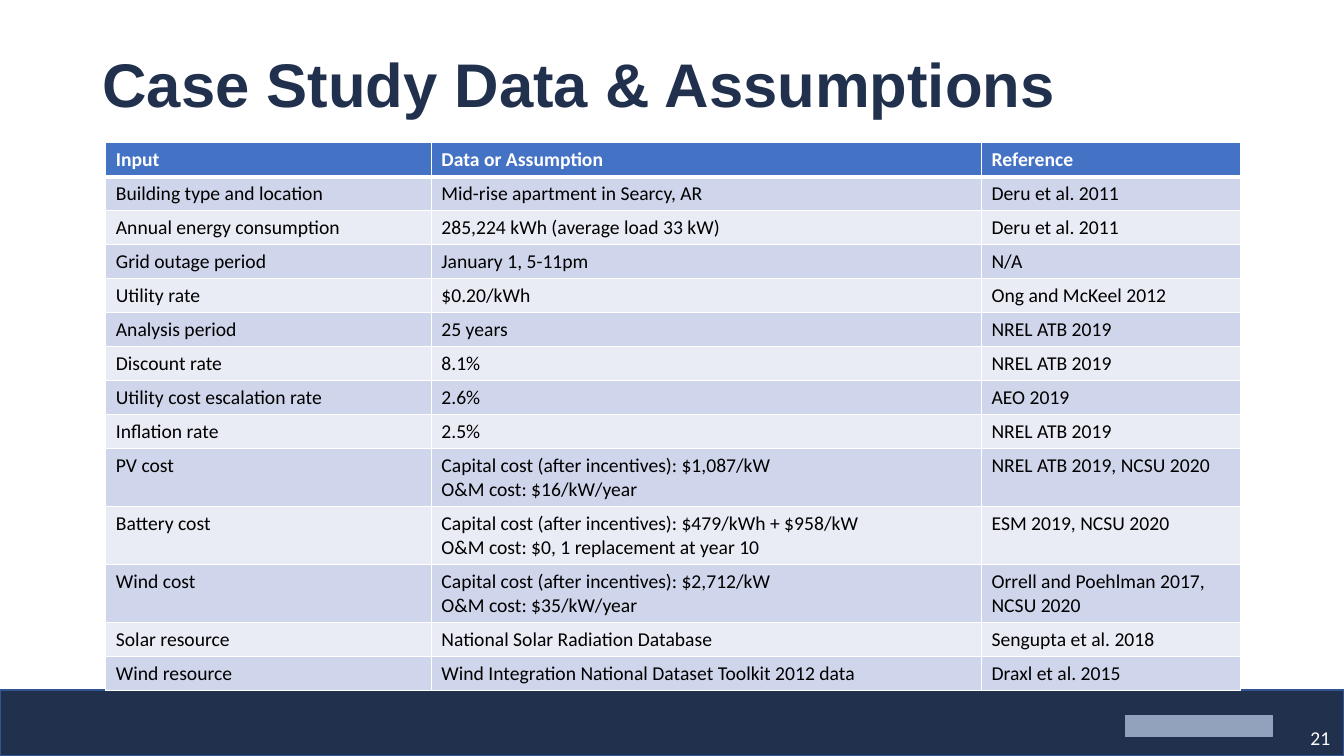
from dataclasses import dataclass

from lxml.etree import SubElement
from pptx import Presentation
from pptx.dml.color import RGBColor
from pptx.enum.shapes import MSO_SHAPE as SHAPE
from pptx.enum.text import MSO_ANCHOR as ANCHOR, MSO_AUTO_SIZE as AUTOSIZE, PP_ALIGN as ALIGN
from pptx.oxml.ns import qn
from pptx.util import Pt


@dataclass(frozen=True)
class Theme:
    navy: str = "21314D"
    band_line: str = "325491"
    header: str = "4472C4"
    row_dark: str = "CFD5EA"
    row_light: str = "E9EBF5"
    white: str = "FFFFFF"
    black: str = "000000"
    pale: str = "92A2BD"
    title_font: str = "Arial"
    body_font: str = "Calibri"
    title_size: int = 44
    body_size: int = 14


THEME = Theme()
COLUMNS = [232.5, 393, 185]
LINE_HEIGHT = 17.1
CELL_PADDING = 7.2
ROWS = [
    ("Input", "Data or Assumption", "Reference"),
    ("Building type and location", "Mid-rise apartment in Searcy, AR", "Deru et al. 2011"),
    ("Annual energy consumption", "285,224 kWh (average load 33 kW)", "Deru et al. 2011"),
    ("Grid outage period", "January 1, 5-11pm", "N/A"),
    ("Utility rate", "$0.20/kWh", "Ong and McKeel 2012"),
    ("Analysis period", "25 years", "NREL ATB 2019"),
    ("Discount rate", "8.1%", "NREL ATB 2019"),
    ("Utility cost escalation rate", "2.6%", "AEO 2019"),
    ("Inflation rate", "2.5%", "NREL ATB 2019"),
    ("PV cost", "Capital cost (after incentives): $1,087/kW\nO&M cost: $16/kW/year",
     "NREL ATB 2019, NCSU 2020"),
    ("Battery cost",
     "Capital cost (after incentives): $479/kWh + $958/kW\nO&M cost: $0, 1 replacement at year 10",
     "ESM 2019, NCSU 2020"),
    ("Wind cost", "Capital cost (after incentives): $2,712/kW\nO&M cost: $35/kW/year",
     "Orrell and Poehlman 2017, NCSU 2020"),
    ("Solar resource", "National Solar Radiation Database", "Sengupta et al. 2018"),
    ("Wind resource", "Wind Integration National Dataset Toolkit 2012 data", "Draxl et al. 2015"),
]


def rgb(value):
    return RGBColor.from_string(value)


def add_run(p, text, font=THEME.body_font, size=THEME.body_size, color=THEME.black, bold=False):
    r = p.add_run()
    r.text = text
    r.font.name = font
    r.font.size = Pt(size)
    r.font.color.rgb = rgb(color)
    r.font.bold = bold


def add_rectangle(slide, left, top, width, height, fill, line):
    sp = slide.shapes.add_shape(SHAPE.RECTANGLE, Pt(left), Pt(top), Pt(width), Pt(height))
    sp.shadow.inherit = False
    sp.fill.solid()
    sp.fill.fore_color.rgb = rgb(fill)
    sp.line.color.rgb = rgb(line)
    sp.line.width = Pt(1)


def add_title(slide, text, left, top, width, height):
    sp = slide.shapes.title
    sp.left, sp.top, sp.width, sp.height = Pt(left), Pt(top), Pt(width), Pt(height)
    tf = sp.text_frame
    tf.word_wrap = True
    tf.auto_size = AUTOSIZE.NONE
    tf.vertical_anchor = ANCHOR.MIDDLE
    p = tf.paragraphs[0]
    p.alignment = ALIGN.LEFT
    p.line_spacing = 0.9
    add_run(p, text, font=THEME.title_font, size=THEME.title_size, color=THEME.navy, bold=True)


def add_footer(slide, number, left, top, width, height):
    add_rectangle(slide, left, top, width, height, THEME.navy, THEME.band_line)
    add_rectangle(slide, left + width - 156, top + 18, 105, 15, THEME.pale, THEME.pale)
    tf = slide.shapes.add_textbox(Pt(left + width - 31), Pt(top + 22), Pt(31), Pt(25)).text_frame
    tf.word_wrap = True
    add_run(tf.paragraphs[0], str(number), color=THEME.white)


def add_border(cell, side, width):
    ln = SubElement(cell._tc.get_or_add_tcPr(), qn(f"a:ln{side}"), w=str(Pt(width)))
    fill = SubElement(ln, qn("a:solidFill"))
    SubElement(fill, qn("a:srgbClr"), val=THEME.white)


def fill_cell(cell, text, row):
    is_header = row == 0
    for side in "LRTB":
        under_header = (row, side) in [(0, "B"), (1, "T")]
        add_border(cell, side, 3 if under_header else 1)
    fill = THEME.header if is_header else THEME.row_dark if row % 2 else THEME.row_light
    cell.fill.solid()
    cell.fill.fore_color.rgb = rgb(fill)
    tf = cell.text_frame
    for i, line in enumerate(text.split("\n")):
        p = tf.add_paragraph() if i else tf.paragraphs[0]
        add_run(p, line, color=THEME.white if is_header else THEME.black, bold=is_header)


def add_data_table(slide, rows, left, top):
    heights = [LINE_HEIGHT * (row[1].count("\n") + 1) + CELL_PADDING for row in rows]
    frame = slide.shapes.add_table(len(rows), len(COLUMNS), Pt(left), Pt(top),
                                   Pt(sum(COLUMNS)), Pt(sum(heights)))
    table = frame.table
    for column, width in zip(table.columns, COLUMNS):
        column.width = Pt(width)
    for i, (row, height) in enumerate(zip(rows, heights)):
        table.rows[i].height = Pt(height)
        for j, text in enumerate(row):
            fill_cell(table.cell(i, j), text, i)


def main():
    prs = Presentation()
    prs.slide_width, prs.slide_height = Pt(960), Pt(540)
    slide = prs.slides.add_slide(prs.slide_layouts[5])
    add_footer(slide, 21, 0, 493, 960, 47)
    add_title(slide, "Case Study Data & Assumptions", 66, 10.5, 828, 104)
    add_data_table(slide, ROWS, 75.6, 102)
    prs.save("out.pptx")


if __name__ == "__main__":
    main()
